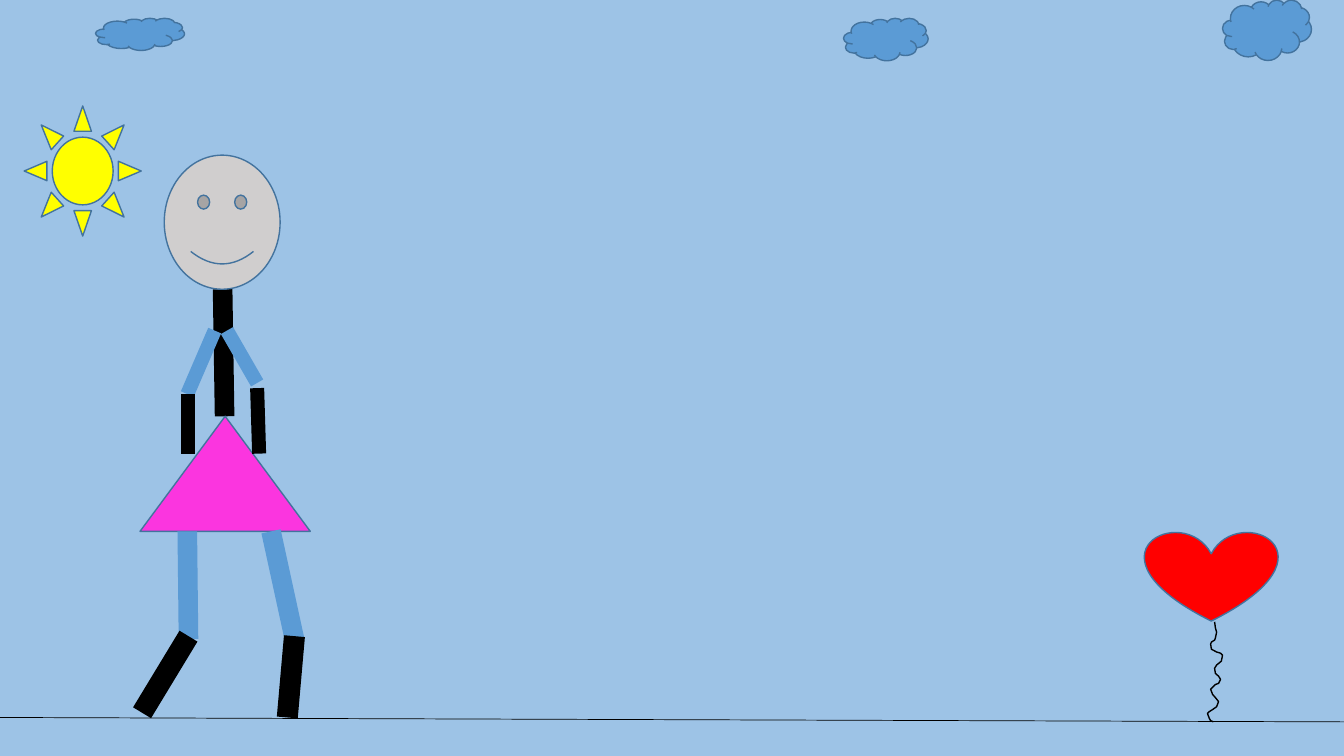
import dataclasses

import pptx
import pptx.dml.color
import pptx.enum.shapes
import pptx.oxml.ns
import pptx.util
from pptx.util import Cm

SHAPE = pptx.enum.shapes.MSO_SHAPE


@dataclasses.dataclass(frozen=True)
class Theme:
    """Colours and line widths (points) of the scene."""
    sky: str = "9DC3E6"
    blue: str = "5B9BD5"
    outline: str = "43739E"
    black: str = "000000"
    pink: str = "FB35DF"
    red: str = "FF0000"
    skin: str = "D0CECE"
    yellow: str = "FFFF00"
    thin: float = 1
    ground: float = 0.5
    arm: float = 10
    body: float = 14
    shin: float = 15


THEME = Theme()

# Each limb: start x, start y, end x, end y (cm), colour, width
BODY = (5.61, 7.29, 5.66, 10.49, THEME.black, THEME.body)
LIMBS = [
    (4.72, 13.39, 4.75, 16.1, THEME.blue, THEME.body),
    (6.83, 13.39, 7.42, 16.1, THEME.blue, THEME.body),
    (4.75, 16.03, 3.58, 17.96, THEME.black, THEME.shin),
    (7.42, 16.03, 7.24, 18.08, THEME.black, THEME.shin),
    (5.72, 8.33, 6.48, 9.65, THEME.blue, THEME.arm),
    (5.41, 8.33, 4.72, 9.93, THEME.blue, THEME.arm),
    (4.75, 9.93, 4.75, 11.43, THEME.black, THEME.arm),
    (6.48, 9.78, 6.53, 11.43, THEME.black, THEME.arm),
]
GROUND = (0, 18.08, 33.87, 18.19, THEME.black, THEME.ground)
CLOUDS = [
    (2.41, 0.46, 2.24, 0.81),
    (21.26, 0.46, 2.13, 1.07),
    (30.81, 0, 2.24, 1.52),
]
BALLOON_STRING = [
    (30.61, 15.67), (30.63, 15.82), (30.66, 15.93), (30.63, 16.08),
    (30.61, 16.13), (30.53, 16.18), (30.51, 16.23), (30.53, 16.36),
    (30.66, 16.43), (30.76, 16.46), (30.81, 16.51), (30.78, 16.66),
    (30.66, 16.76), (30.61, 16.84), (30.63, 16.97), (30.71, 17.04),
    (30.76, 17.12), (30.71, 17.22), (30.63, 17.25), (30.56, 17.32),
    (30.51, 17.37), (30.56, 17.5), (30.63, 17.58), (30.71, 17.68),
    (30.66, 17.81), (30.56, 17.88), (30.48, 17.93), (30.43, 17.98),
    (30.48, 18.11), (30.51, 18.16), (30.58, 18.19),
]


def rgb(value):
    """Turn a hex string into a colour."""
    return pptx.dml.color.RGBColor.from_string(value)


def set_line(line, color, width):
    """Give a line its colour and width."""
    line.color.rgb = rgb(color)
    line.width = pptx.util.Pt(width)


def add_figure(s, kind, box, fill):
    """Add an outlined preset shape; box is left, top, width, height in cm."""
    sp = s.shapes.add_shape(kind, *map(Cm, box))
    sp.shadow.inherit = False
    sp.fill.solid()
    sp.fill.fore_color.rgb = rgb(fill)
    set_line(sp.line, THEME.outline, THEME.thin)
    return sp


def add_stroke(s, x1, y1, x2, y2, color, width):
    """Add a straight line between two points in cm, without a shadow."""
    straight = pptx.enum.shapes.MSO_CONNECTOR.STRAIGHT
    cxn = s.shapes.add_connector(straight, *map(Cm, (x1, y1, x2, y2)))
    set_line(cxn.line, color, width)
    sp_pr = cxn._element.find(pptx.oxml.ns.qn("p:spPr"))
    sp_pr.append(pptx.oxml.parse_xml(
        f'<a:effectLst {pptx.oxml.ns.nsdecls("a")}/>'))


def add_curl(s, points):
    """Add an open, unfilled outline through points in cm."""
    start, *rest = [(Cm(x), Cm(y)) for x, y in points]
    builder = s.shapes.build_freeform(*start)
    builder.add_line_segments(rest, close=False)
    sp = builder.convert_to_shape()
    sp.shadow.inherit = False
    sp.fill.background()
    set_line(sp.line, THEME.black, THEME.thin)


def main():
    """Build the scene and save it."""
    prs = pptx.Presentation()
    for name, size in {"slide_width": 33.87, "slide_height": 19.05}.items():
        setattr(prs, name, Cm(size))
    s = prs.slides.add_slide(prs.slide_layouts[6])
    s.background.fill.solid()
    s.background.fill.fore_color.rgb = rgb(THEME.sky)

    add_stroke(s, *BODY)
    add_figure(s, SHAPE.ISOSCELES_TRIANGLE, (3.53, 10.49, 4.29, 2.9), THEME.pink)
    for limb in LIMBS:
        add_stroke(s, *limb)
    add_figure(s, SHAPE.HEART, (28.85, 13.39, 3.35, 2.26), THEME.red)
    add_curl(s, BALLOON_STRING)
    add_figure(s, SHAPE.SMILEY_FACE, (4.14, 3.91, 2.92, 3.38), THEME.skin)
    add_stroke(s, *GROUND)
    for cloud in CLOUDS:
        add_figure(s, SHAPE.CLOUD, cloud, THEME.blue)
    sun = add_figure(s, SHAPE.SUN, (0.61, 2.67, 2.95, 3.28), THEME.yellow)
    sun.adjustments[0] = 0.24
    prs.save("out.pptx")


main()
